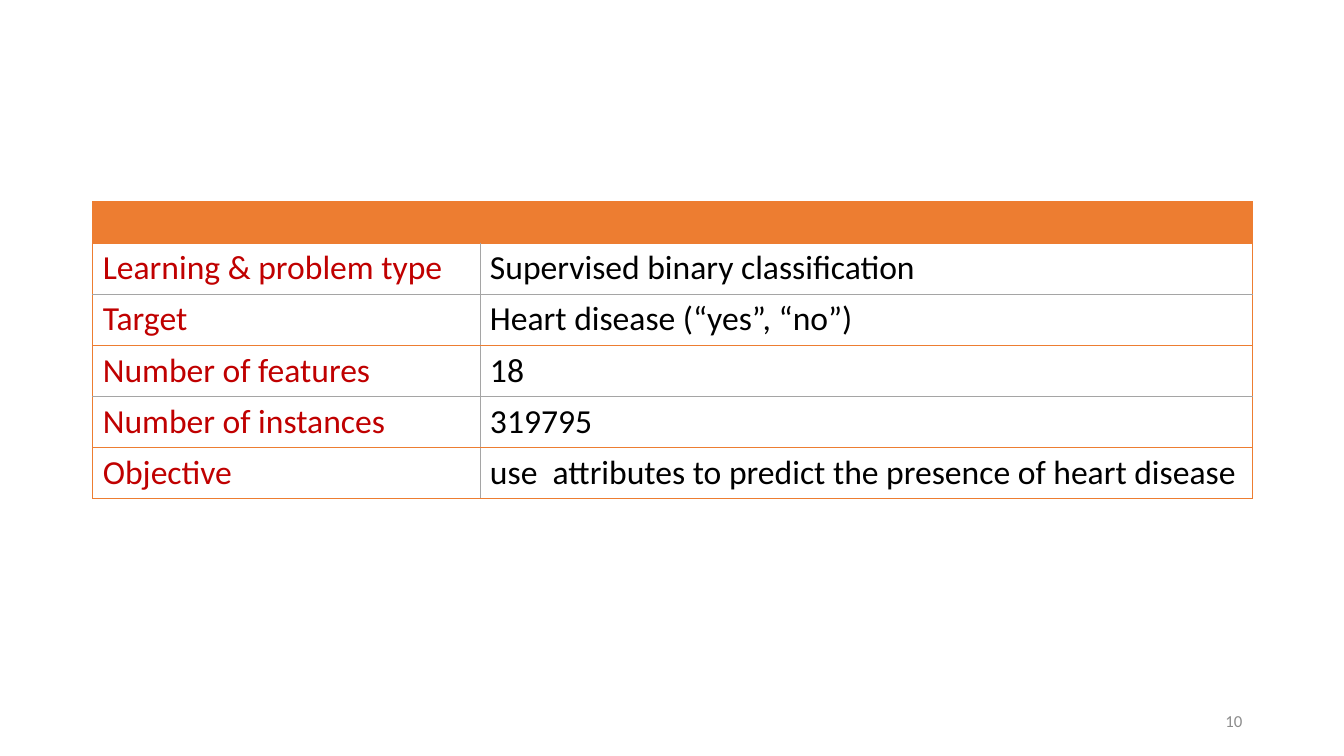
from pptx import Presentation
from pptx.dml.color import RGBColor
from pptx.enum import text as t
from pptx.oxml import ns, parse_xml
from pptx.util import Inches, Pt

COLORS = {"head": "ED7D31", "label": "C00000", "body": "000000",
          "page": "8C8C8C", "rule": "A5A5A5", "white": "FFFFFF"}
FACTS = [
    ("Learning & problem type", "Supervised binary classification"),
    ("Target", "Heart disease (“yes”, “no”)"),
    ("Number of features", "18"),
    ("Number of instances", "319795"),
    ("Objective", "use  attributes to predict the presence of heart disease"),
]
WIDTHS = (3.84, 7.66)


def write(frame, words, size=24, color="body", align=t.PP_ALIGN.LEFT):
    """Put formatted words in a text frame."""
    frame.word_wrap = True
    para = frame.paragraphs[0]
    para.alignment = align
    run = para.add_run()
    run.text = words
    run.font.name = "Calibri"
    run.font.size = Pt(size)
    run.font.color.rgb = RGBColor.from_string(COLORS[color])


def edge(cell, **sides):
    """Draw the cell borders in the named colours."""
    props = cell._tc.get_or_add_tcPr()
    for side in "LRTB":
        props.append(parse_xml(
            f'<a:ln{side} {ns.nsdecls("a")} w="{Pt(0.5)}"><a:solidFill>'
            f'<a:srgbClr val="{COLORS[sides[side]]}"/></a:solidFill></a:ln{side}>'))


def paint(cell, color):
    """Fill a cell with a solid colour."""
    cell.fill.solid()
    cell.fill.fore_color.rgb = RGBColor.from_string(COLORS[color])


def add_facts(slide):
    """Add the table of problem facts under a plain header band."""
    rows = len(FACTS) + 1
    grid = slide.shapes.add_table(rows, 2, Inches(0.92), Inches(2),
                                  Inches(sum(WIDTHS)), Inches(0.41 * rows)).table
    for col, width in zip(grid.columns, WIDTHS):
        col.width = Inches(width)
    for row in grid.rows:
        row.height = Inches(0.41)
    for cell in grid.rows[0].cells:
        edge(cell, **dict.fromkeys("LRTB", "head"))
        paint(cell, "head")
    for num, fact in enumerate(FACTS, 1):
        top, base = ("head", "rule") if num % 2 else ("rule", "head")
        if num == len(FACTS):
            base = "head"
        left, right = grid.rows[num].cells
        edge(left, L="head", R="rule", T=top, B=base)
        edge(right, L="rule", R="head", T=top, B=base)
        for cell, words, color in zip((left, right), fact, ("label", "body")):
            paint(cell, "white")
            write(cell.text_frame, words, color=color)


def add_page(slide, num):
    """Add the page number at the lower right."""
    frame = slide.shapes.add_textbox(Inches(9.42), Inches(6.95),
                                     Inches(3), Inches(0.4)).text_frame
    frame.vertical_anchor = t.MSO_ANCHOR.MIDDLE
    write(frame, num, size=12, color="page", align=t.PP_ALIGN.RIGHT)


def main():
    """Build and save the slide."""
    deck = Presentation()
    deck.slide_width, deck.slide_height = Inches(13.33), Inches(7.5)
    slide = deck.slides.add_slide(deck.slide_layouts[6])
    add_facts(slide)
    add_page(slide, "10")
    deck.save("out.pptx")


if __name__ == "__main__":
    main()
